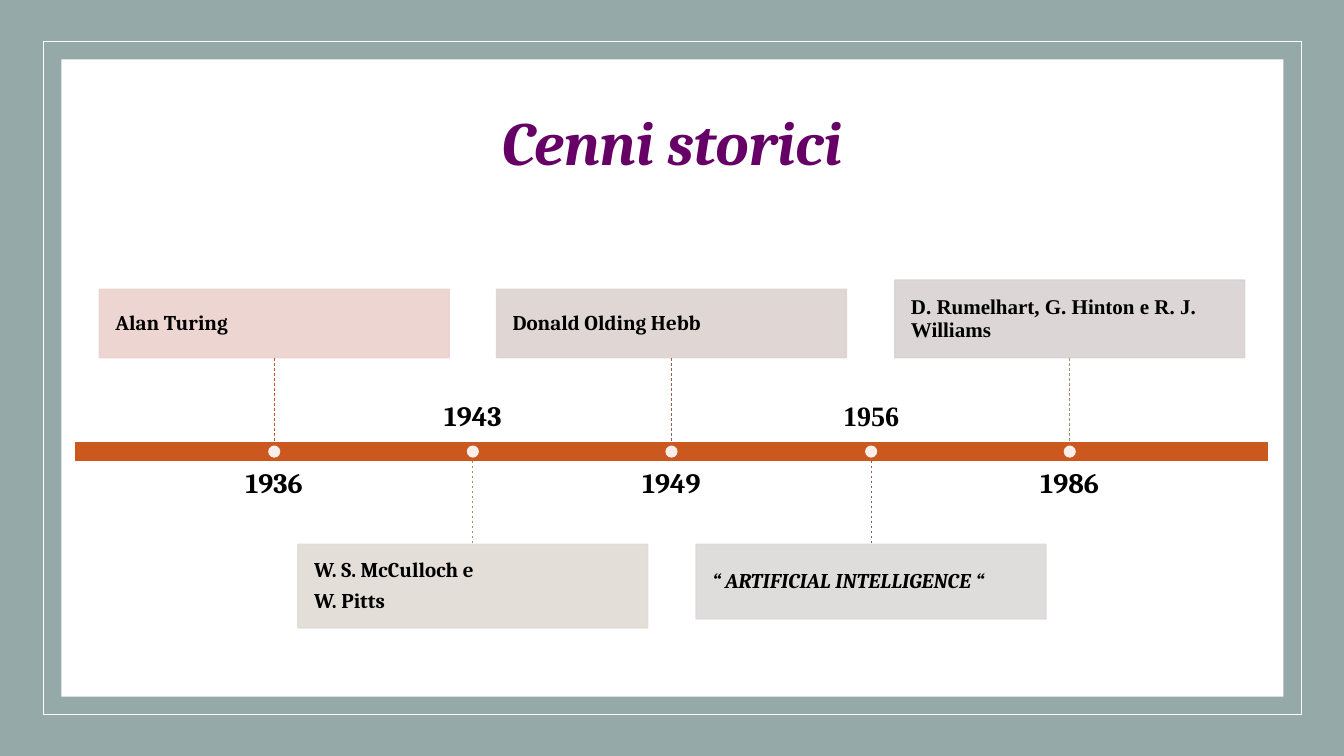
from lxml.etree import SubElement
from pptx import Presentation
from pptx.dml.color import RGBColor
from pptx.enum.dml import MSO_LINE
from pptx.enum.shapes import MSO_CONNECTOR, MSO_SHAPE
from pptx.enum.text import MSO_ANCHOR, PP_ALIGN
from pptx.oxml.ns import qn
from pptx.util import Emu, Pt

EMU_PER_PX = 9144  # 100 px to the inch
SERIF, TIMES = "Cambria", "Times New Roman"

BAR_TOP, BAR_BOTTOM = 438, 458
FIRST_X, STEP = 272, 197.25
CARD_WIDTH, CARD_PAD = 347, 16
UPPER_CARD_BOTTOM, LOWER_CARD_TOP = 355, 540
YEAR_WIDTH, YEAR_HEIGHT, DOT = 316, 55, 12

# year, year font, card lines, card font, italic, card height, card fill, link colour
EVENTS = [
    ("1936", SERIF, ["Alan Turing"], SERIF, False, 68, "ECD1CD", "CB581F"),
    ("1943", SERIF, ["W. S. McCulloch e", "W. Pitts"], SERIF, False, 83, "E0DBD4", "A28E6A"),
    ("1949", SERIF, ["Donald Olding Hebb"], SERIF, False, 68, "DDD3D0", "956251"),
    ("1956", TIMES, ["“ ARTIFICIAL INTELLIGENCE “"], SERIF, True, 74, "DCD9D9", "855D5D"),
    ("1986", SERIF, ["D. Rumelhart, G. Hinton e R. J. Williams"], TIMES, False, 77,
     "D9D2D2", "A28E6A"),
]


def px(*lengths):
    return [Emu(round(length * EMU_PER_PX)) for length in lengths]


def color(value):
    return RGBColor.from_string(value)


def set_alpha(fill_owner, percent):
    tint = next(fill_owner.iter(qn("a:srgbClr")))
    SubElement(tint, qn("a:alpha")).set("val", str(percent * 1000))


def add_block(page, bounds, fill=None, line=None, width=1, alpha=None, kind=MSO_SHAPE.RECTANGLE):
    shape = page.shapes.add_shape(kind, *px(*bounds))
    shape.shadow.inherit = False
    if fill:
        shape.fill.solid()
        shape.fill.fore_color.rgb = color(fill)
        if alpha:
            set_alpha(shape.fill._xPr.find(qn("a:solidFill")), alpha)
    else:
        shape.fill.background()
    if line:
        shape.line.color.rgb = color(line)
        shape.line.width = Pt(width)
        if alpha:
            set_alpha(shape.line._ln, alpha)
    else:
        shape.line.fill.background()
    return shape


def write(shape, lines, size, font, align, anchor, pad=0, ink="000000", italic=False):
    frame = shape.text_frame
    frame.word_wrap = True
    frame.vertical_anchor = anchor
    (frame.margin_left, frame.margin_top,
     frame.margin_right, frame.margin_bottom) = px(pad, pad, pad, pad)
    for index, line in enumerate(lines):
        para = frame.add_paragraph() if index else frame.paragraphs[0]
        para.text = line
        para.alignment = align
        para.line_spacing = 0.9
        para.space_after = Pt(5.5)
        para.font.name = font
        para.font.size = Pt(size)
        para.font.bold = True
        para.font.italic = italic
        para.font.color.rgb = color(ink)


def add_label(page, bounds, text, size, font, anchor, **style):
    box = page.shapes.add_textbox(*px(*bounds))
    write(box, [text], size, font, PP_ALIGN.CENTER, anchor, **style)


def add_link(page, x, top, bottom, ink):
    link = page.shapes.add_connector(MSO_CONNECTOR.STRAIGHT, *px(x, top, x, bottom))
    link.line.color.rgb = color(ink)
    link.line.width = Pt(0.5)
    link.line.dash_style = MSO_LINE.DASH
    SubElement(link._element.spPr, qn("a:effectLst"))


def add_event(page, index, event):
    year, year_font, lines, font, italic, height, fill, ink = event
    center = round(FIRST_X + index * STEP)
    above = index % 2 == 0
    if above:
        card_top = UPPER_CARD_BOTTOM - height
        link_ends = UPPER_CARD_BOTTOM, BAR_TOP
        year_top, year_anchor = 466, MSO_ANCHOR.TOP
    else:
        card_top = LOWER_CARD_TOP
        link_ends = BAR_BOTTOM - 1, LOWER_CARD_TOP
        year_top, year_anchor = 374, MSO_ANCHOR.BOTTOM

    add_label(page, (center - YEAR_WIDTH / 2, year_top, YEAR_WIDTH, YEAR_HEIGHT),
              year, 20, year_font, year_anchor)
    card = add_block(page, (center - CARD_WIDTH / 2, card_top, CARD_WIDTH, height),
                     fill, line=fill, alpha=90)
    write(card, lines, 15, font, PP_ALIGN.LEFT, MSO_ANCHOR.MIDDLE, CARD_PAD, italic=italic)
    add_link(page, center, *link_ends, ink)
    add_block(page, (center - DOT / 2, 442, DOT, DOT), "FFFFFF", alpha=90, kind=MSO_SHAPE.OVAL)


def main():
    deck = Presentation()
    deck.slide_width, deck.slide_height = px(1333, 750)
    page = deck.slides.add_slide(deck.slide_layouts[6])

    # Frame
    add_block(page, (0, 0, 1333, 750), "96A9A9")
    add_block(page, (43, 41, 1248, 668), line="FFFFFF", width=0.5)
    add_block(page, (61, 59, 1212, 632), "FFFFFF")

    # Title
    add_label(page, (0, 99, 1333, 90), "Cenni storici", 44, SERIF, MSO_ANCHOR.MIDDLE,
              ink="660066", italic=True)

    # Timeline
    add_block(page, (74, BAR_TOP, 1184, BAR_BOTTOM - BAR_TOP), "CB581F", line="FFFFFF")
    for index, event in enumerate(EVENTS):
        add_event(page, index, event)

    deck.save("out.pptx")


if __name__ == "__main__":
    main()
